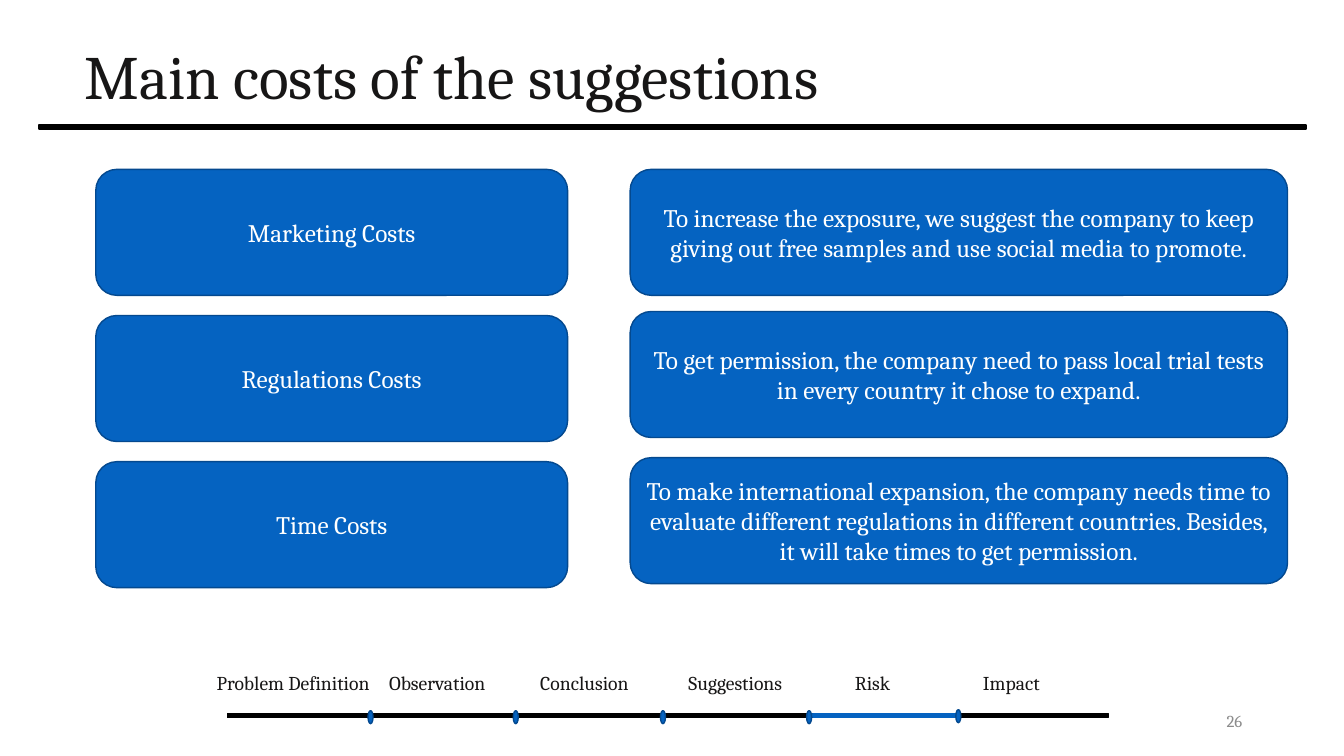
import pptx
import pptx.util
import pptx.dml.color
import pptx.enum.shapes
import pptx.enum.text

Inches, Pt = pptx.util.Inches, pptx.util.Pt
SHAPE = pptx.enum.shapes.MSO_SHAPE
ALIGN = pptx.enum.text.PP_ALIGN
ANCHOR = pptx.enum.text.MSO_ANCHOR

# Content
TITLE = "Main costs of the suggestions"
PAGE = "26"
COSTS = [  # cost, explanation, top of the explanation
    ("Marketing Costs",
     "To increase the exposure, we suggest the company to keep giving out "
     "free samples and use social media to promote.", 1.68),
    ("Regulations Costs",
     "To get permission, the company need to pass local trial tests in every "
     "country it chose to expand.", 3.09),
    ("Time Costs",
     "To make international expansion, the company needs time to evaluate "
     "different regulations in different countries. Besides, it will take "
     "times to get permission.", 4.54),
]
STAGES = [  # stage, left, width
    ("Problem Definition", 2.05, 1.8),
    ("Observation", 3.76, 1.22),
    ("Conclusion", 5.26, 1.13),
    ("Suggestions", 6.73, 1.2),
    ("Risk", 8.38, 0.57),
    ("Impact", 9.65, 0.79),
]
MARKERS = [(3.65, 7.05), (5.09, 7.05), (6.55, 7.05), (8, 7.05), (9.48, 7.04)]

# Style
FONT = "Cambria"
BLACK, INK, GREY, WHITE = "000000", "171616", "8C8C8C", "FFFFFF"
BLUE, DARK_BLUE = "0563C1", "04498F"
ROW_TOP, ROW_STEP, ROW_HEIGHT = 1.68, 1.45, 1.25


def rgb(code):
    return pptx.dml.color.RGBColor.from_string(code)


def write(holder, text, size, color, align=ALIGN.LEFT, anchor=ANCHOR.MIDDLE, wrap=True):
    frame = holder.text_frame
    frame.word_wrap = wrap
    frame.vertical_anchor = anchor
    frame.text = text
    paragraph = frame.paragraphs[0]
    paragraph.alignment = align
    paragraph.font.name = FONT
    paragraph.font.size = Pt(size)
    paragraph.font.color.rgb = rgb(color)
    return paragraph


def draw(kind, left, top, width, height, fill, line):
    shape = slide.shapes.add_shape(kind, *map(Inches, (left, top, width, height)))
    shape.shadow.inherit = False
    shape.fill.solid()
    shape.fill.fore_color.rgb = rgb(fill)
    shape.line.color.rgb = rgb(line)
    shape.line.width = Pt(1)
    return shape


def label(left, top, width, height):
    return slide.shapes.add_textbox(*map(Inches, (left, top, width, height)))


def cost_box(text, left, top, width):
    box = draw(SHAPE.ROUNDED_RECTANGLE, left, top, width, ROW_HEIGHT, BLUE, DARK_BLUE)
    write(box, text, 18, WHITE, ALIGN.CENTER)


deck = pptx.Presentation()
deck.slide_width, deck.slide_height = Inches(13.33), Inches(7.5)
slide = deck.slides.add_slide(deck.slide_layouts[5])

# Title and the rule below it
title = slide.shapes.title
title.left, title.top, title.width, title.height = map(Inches, (0.74, 0.06, 11.5, 1.45))
write(title, TITLE, 44, INK).line_spacing = 0.9
draw(SHAPE.MATH_MINUS, -1.88, 1.17, 17.1, 0.18, BLACK, BLACK)

# Progress line with the current stage in blue
draw(SHAPE.MATH_MINUS, 0.68, 7.01, 11.89, 0.18, BLACK, BLACK)
draw(SHAPE.MATH_MINUS, 7.81, 7.01, 1.93, 0.18, BLUE, BLUE)
for left, top in MARKERS:
    draw(SHAPE.OVAL, left, top, 0.05, 0.13, BLUE, DARK_BLUE)
for stage, left, width in STAGES:
    write(label(left, 6.61, width, 0.34), stage, 14, INK, anchor=ANCHOR.TOP, wrap=False)

# Page number
write(label(9.42, 6.95, 3, 0.4), PAGE, 12, GREY, ALIGN.RIGHT)

# Costs and their explanations
for row, (cost, explanation, explanation_top) in enumerate(COSTS):
    cost_box(cost, 0.95, ROW_TOP + row * ROW_STEP, 4.68)
    cost_box(explanation, 6.25, explanation_top, 6.52)

deck.save("out.pptx")
